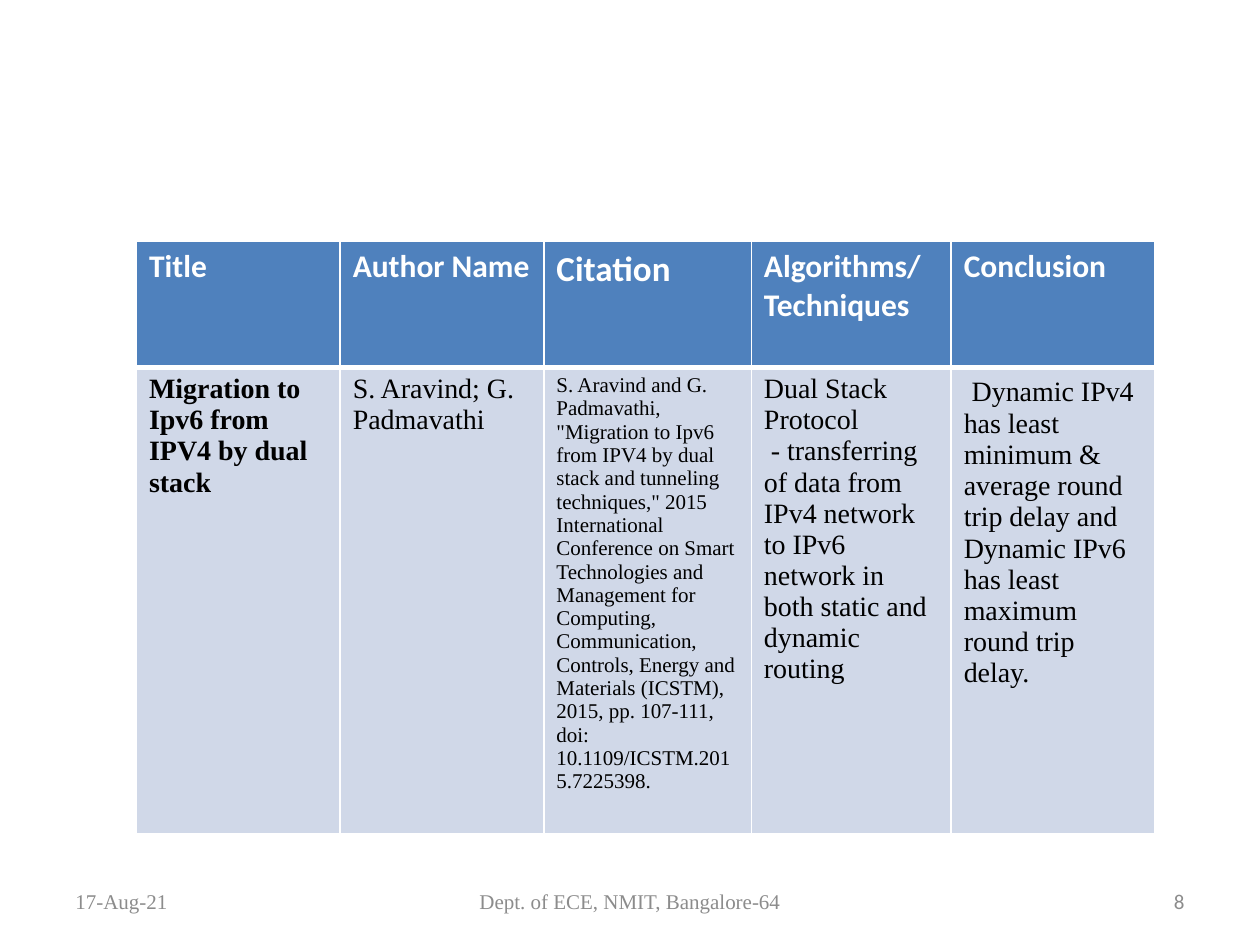
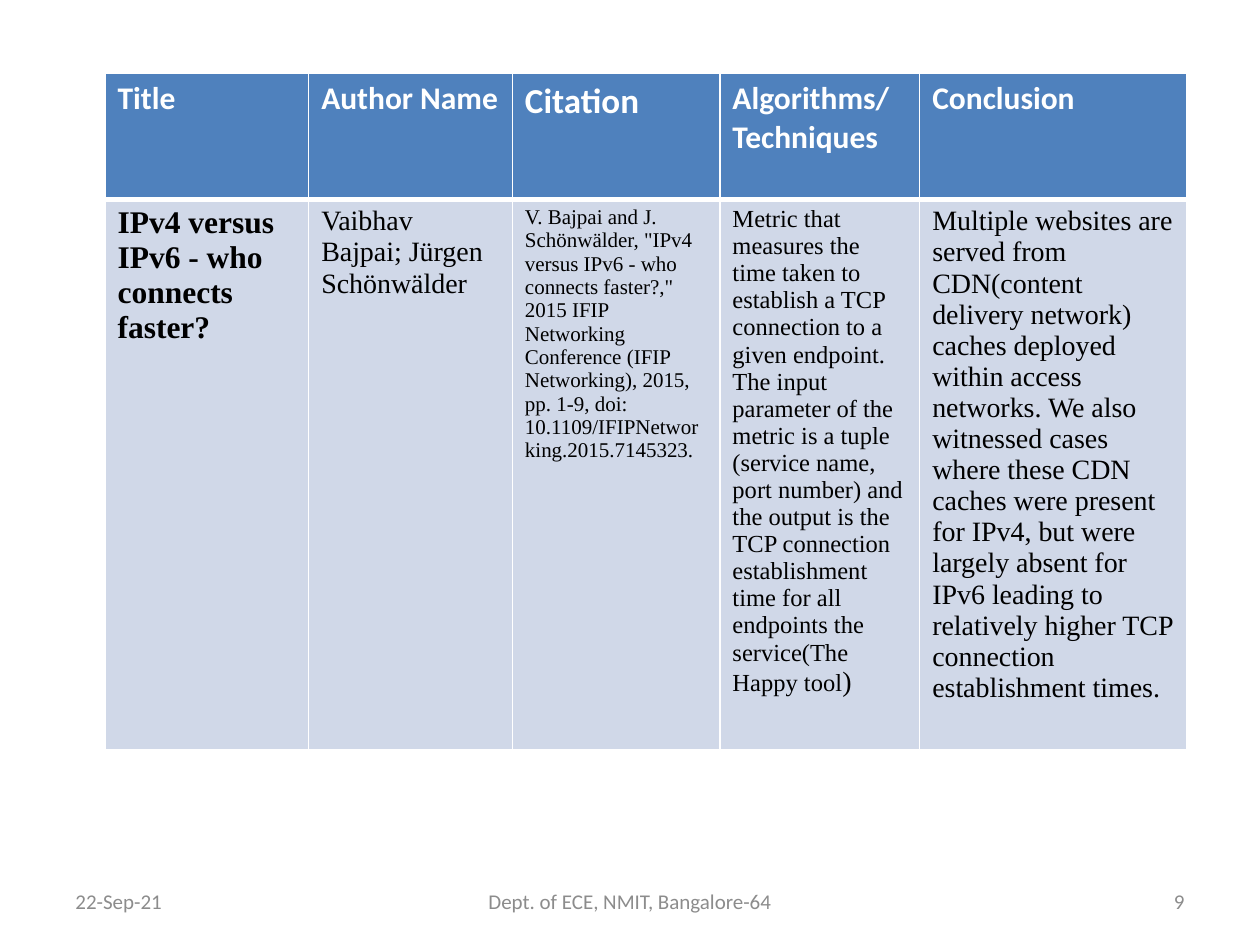
from pptx import Presentation
from pptx.dml.color import RGBColor
from pptx.enum.text import MSO_ANCHOR as Anchor, PP_ALIGN as Align
from pptx.util import Pt
from lxml.etree import SubElement
from pptx.oxml.ns import qn

SANS, SERIF = "Calibri", "Times New Roman"
WHITE, BLACK, GREY = "FFFFFF", "000000", "8C8C8C"
BLUE, PALE = "4F81BD", "D0D8E8"

# Heading and size of each column, shared by both tables
HEADS = [("Title", 18), ("Author Name", 18), ("Citation", 20),
         ("Algorithms/Techniques", 18), ("Conclusion", 18)]
WIDTHS = [116.4, 116.4, 118.6, 114.2]
HEAD_H = 72


def color(code):
    return RGBColor.from_string(code)


class Deck:
    def __init__(self):
        self.prs = Presentation()
        self.prs.slide_width, self.prs.slide_height = Pt(720), Pt(540)
        self.slide = None

    def page(self):
        self.slide = self.prs.slides.add_slide(self.prs.slide_layouts[6])

    def style(self, font, size, name, tint, bold=False):
        font.size, font.name, font.bold = Pt(size), name, bold
        font.color.rgb = color(tint)

    def label(self, text, left, width, align, name):
        box = self.slide.shapes.add_textbox(Pt(left), Pt(500.5), Pt(width), Pt(28.75))
        frame = box.text_frame
        frame.word_wrap = True
        frame.vertical_anchor = Anchor.MIDDLE
        para = frame.paragraphs[0]
        para.text, para.alignment = text, align
        self.style(para.font, 12, name, GREY)

    def footer(self, date, number, name):
        self.label(date, 36, 168, Align.LEFT, name)
        self.label("Dept. of ECE, NMIT, Bangalore-64", 246, 228, Align.CENTER, name)
        self.label(number, 516, 168, Align.RIGHT, SANS)

    def border(self, cell, sides):
        props = cell._tc.get_or_add_tcPr()
        for side, width in sides.items():
            line = SubElement(props, qn("a:ln" + side), w=str(Pt(width)))
            fill = SubElement(line, qn("a:solidFill"))
            SubElement(fill, qn("a:srgbClr"), val=WHITE)

    def cell(self, cell, parts, name, tint, bold, back, sides):
        """Fill a cell with (text, size) parts."""
        self.border(cell, sides)
        cell.fill.solid()
        cell.fill.fore_color.rgb = color(back)
        para = cell.text_frame.paragraphs[0]
        if len(parts) == 1:
            para.text = parts[0][0]
        else:
            for text, size in parts:
                run = para.add_run()
                run.text, run.font.size = text, Pt(size)
        self.style(para.font, parts[0][1], name, tint, bold)

    def table(self, left, top, last, height, body):
        widths = WIDTHS + [last]
        grid = self.slide.shapes.add_table(
            2, len(widths), Pt(left), Pt(top), Pt(sum(widths)), Pt(HEAD_H + height)).table
        grid.rows[0].height, grid.rows[1].height = Pt(HEAD_H), Pt(height)
        for col, (width, head, parts) in enumerate(zip(widths, HEADS, body)):
            grid.columns[col].width = Pt(width)
            self.cell(grid.cell(0, col), [head], SANS, WHITE, True, BLUE,
                      {"L": 1, "R": 1, "T": 1, "B": 3})
            self.cell(grid.cell(1, col), parts, SERIF, BLACK, col == 0, PALE,
                      {"L": 1, "R": 1, "T": 3, "B": 1})


def main():
    deck = Deck()

    # Dual stack paper
    deck.page()
    deck.footer("17-Aug-21", "8", SERIF)
    deck.table(78, 138, 116.4, 247, [
        [("Migration to Ipv6 from IPV4 by dual stack", 16)],
        [("S. Aravind; G. Padmavathi", 16)],
        [('S. Aravind and G. Padmavathi, "Migration to Ipv6 from IPV4 by dual stack '
          'and tunneling techniques," 2015 International Conference on Smart '
          'Technologies and Management for Computing, Communication, Controls, '
          'Energy and Materials (ICSTM), 2015, pp. 107-111, '
          'doi: 10.1109/ICSTM.2015.7225398.', 12)],
        [("Dual Stack Protocol\n - transferring of data from IPv4 network to IPv6 "
          "network in both static and dynamic routing", 16)],
        [(" ", 18),
         ("Dynamic IPv4 has least minimum & average round trip delay and "
          "Dynamic IPv6 has least maximum round trip delay.", 16)],
    ])

    # Connection speed paper
    deck.page()
    deck.footer("22-Sep-21", "9", SANS)
    deck.table(60, 42, 152.4, 292, [
        [("IPv4 versus IPv6 - who connects faster?", 18)],
        [("Vaibhav Bajpai; Jürgen Schönwälder", 16)],
        [('V. Bajpai and J. Schönwälder, "IPv4 versus IPv6 - who connects faster?," '
          '2015 IFIP Networking Conference (IFIP Networking), 2015, pp. 1-9, '
          'doi: 10.1109/IFIPNetworking.2015.7145323.', 12)],
        [("Metric that measures the time taken to establish a TCP connection to a "
          "given endpoint. The input parameter of the metric is a tuple (service "
          "name, port number) and the output is the TCP connection establishment "
          "time for all endpoints the service(The Happy tool", 14), (")", 16)],
        [("Multiple websites are served from CDN(content delivery network) caches "
          "deployed within access networks. We also witnessed cases where these CDN "
          "caches were present for IPv4, but were largely absent for IPv6 leading to "
          "relatively higher TCP connection establishment times.", 16)],
    ])

    deck.prs.save("out.pptx")


if __name__ == "__main__":
    main()
